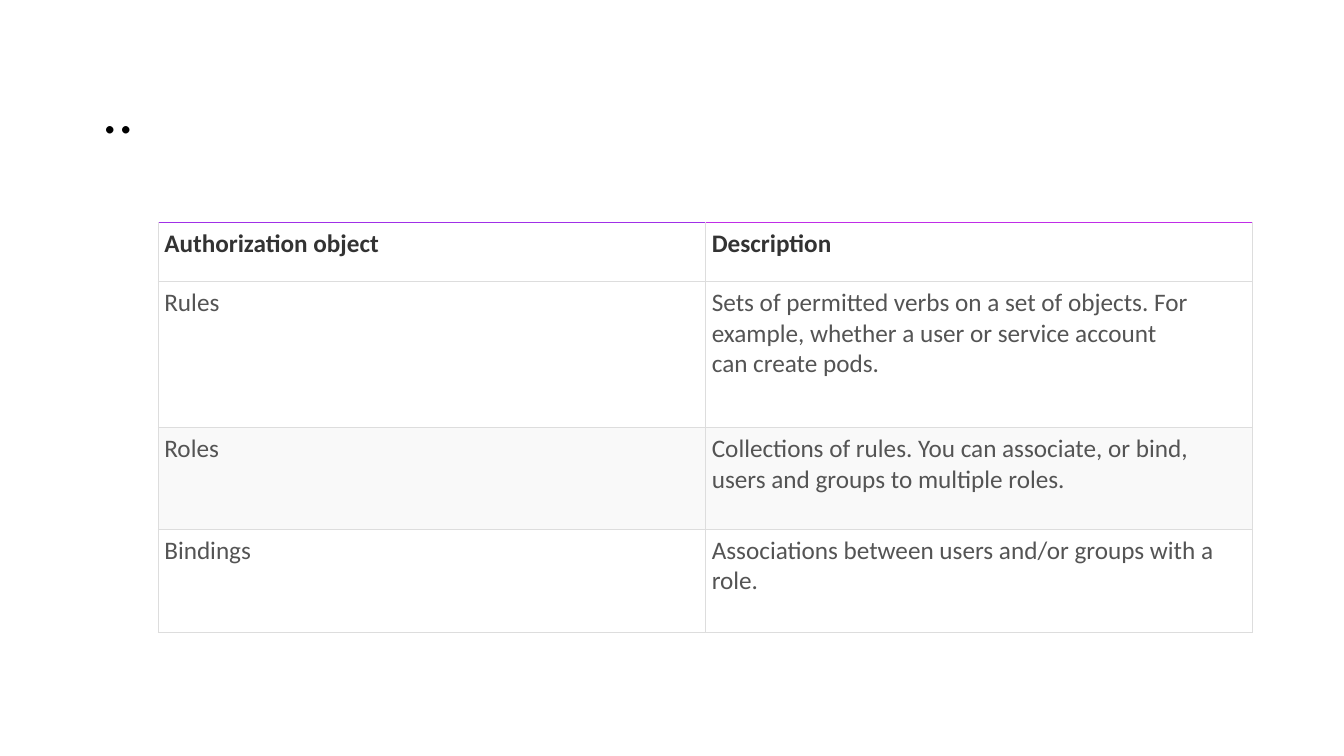
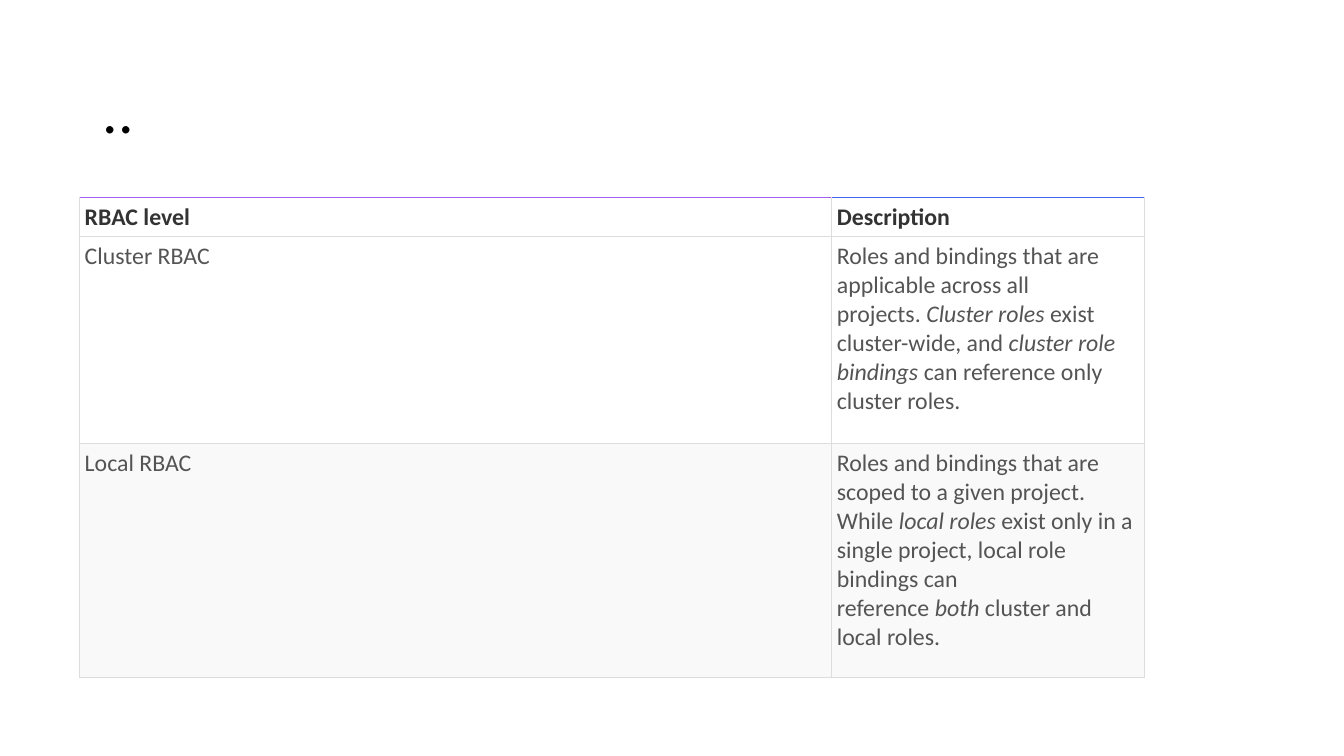
from lxml import etree
from pptx import Presentation
from pptx import util as u
from pptx.dml.color import RGBColor
from pptx.enum import text
from pptx.oxml.ns import qn

FONT = "Calibri"
HARD_SPACE = chr(160)
COLORS = {
    "title": "000000",
    "heading": "333333",
    "body": "545454",
    "grid": "DDDDDD",
    "plain": "FFFFFF",
    "band": "F9F9F9",
}
TITLE_BOX = (0.92, 0.4, 11.5, 1.45)

# Asterisks enclose italic passages, a tilde stands for a no-break space
TABLE_PAGES = [
    {
        "at": (1.57, 2.21),
        "widths": [5.43, 5.42],
        "heights": [0.58, 1.45, 1.01, 1.02],
        "size": 18,
        "inset": 0.06,
        "top_lines": ["A030E7", "C02DE7"],
        "rows": [
            ("Authorization object", "Description"),
            ("Rules", "Sets of permitted verbs on a set of objects. For example, "
                      "whether a user or service account can~create~pods."),
            ("Roles", "Collections of rules. You can associate, or bind, "
                      "users and groups to multiple roles."),
            ("Bindings", "Associations between users and/or groups with a role."),
        ],
    },
    {
        "at": (0.79, 1.96),
        "widths": [7.46, 3.1],
        "heights": [0.38, 2.05, 2.32],
        "size": 17,
        "inset": 0.05,
        "top_lines": ["A060F4", "4064F4"],
        "rows": [
            ("RBAC level", "Description"),
            ("Cluster RBAC", "Roles and bindings that are applicable across all "
                             "projects.~*Cluster roles*~exist cluster-wide, and~"
                             "*cluster role bindings*~can reference only cluster roles."),
            ("Local RBAC", "Roles and bindings that are scoped to a given project. "
                           "While~*local roles*~exist only in a single project, "
                           "local role bindings can reference~*both*~cluster and "
                           "local roles."),
        ],
    },
]


def style_font(font, size, color, bold=False):
    font.name = FONT
    font.size = u.Pt(size)
    font.bold = bold
    font.color.rgb = RGBColor.from_string(COLORS[color])


def add_title(page, words, area):
    box = page.shapes.title
    box.left, box.top, box.width, box.height = map(u.Inches, area)
    box.text_frame.text = words
    box.text_frame.auto_size = text.MSO_AUTO_SIZE.NONE
    box.text_frame.vertical_anchor = text.MSO_ANCHOR.MIDDLE
    para = box.text_frame.paragraphs[0]
    para.alignment = text.PP_ALIGN.LEFT
    para.line_spacing = 0.9
    style_font(para.font, 44, "title")


def set_borders(cell, top_color):
    properties = cell._tc.get_or_add_tcPr()
    grid = COLORS["grid"]
    for side, color in (("L", grid), ("R", grid), ("T", top_color), ("B", grid)):
        line = etree.SubElement(properties, qn(f"a:ln{side}"), w=str(u.Pt(0.5)))
        fill = etree.SubElement(line, qn("a:solidFill"))
        etree.SubElement(fill, qn("a:srgbClr"), val=color)


def fill_cell(cell, words, size, inset, heading, banded, top_color):
    set_borders(cell, top_color)
    cell.fill.solid()
    cell.fill.fore_color.rgb = RGBColor.from_string(COLORS["band" if banded else "plain"])
    cell.margin_left = cell.margin_right = u.Inches(inset)
    cell.margin_top = cell.margin_bottom = u.Inches(inset)
    para = cell.text_frame.paragraphs[0]
    style_font(para.font, size, "heading" if heading else "body", heading)
    for index, part in enumerate(words.replace("~", HARD_SPACE).split("*")):
        span = para.add_run()
        span.text = part
        if index % 2:
            span.font.italic = True


def add_grid(page, at, widths, heights, size, inset, top_lines, rows):
    area = (*at, sum(widths), sum(heights))
    table = page.shapes.add_table(len(rows), len(widths), *map(u.Inches, area)).table
    table.first_row = table.horz_banding = False
    for column, width in zip(table.columns, widths):
        column.width = u.Inches(width)
    for row, height in zip(table.rows, heights):
        row.height = u.Inches(height)
    for r, row in enumerate(rows):
        for c, words in enumerate(row):
            heading = r == 0
            fill_cell(table.cell(r, c), words, size, inset, heading,
                      banded=r > 0 and r % 2 == 0,
                      top_color=top_lines[c] if heading else COLORS["grid"])


def add_table_page(deck, content):
    page = deck.slides.add_slide(deck.slide_layouts.get_by_name("Title Only"))
    add_title(page, "..", TITLE_BOX)
    add_grid(page, **content)


def main():
    deck = Presentation()
    deck.slide_width, deck.slide_height = u.Inches(13.33), u.Inches(7.5)
    for content in TABLE_PAGES:
        add_table_page(deck, content)
    deck.save("out.pptx")


if __name__ == "__main__":
    main()
